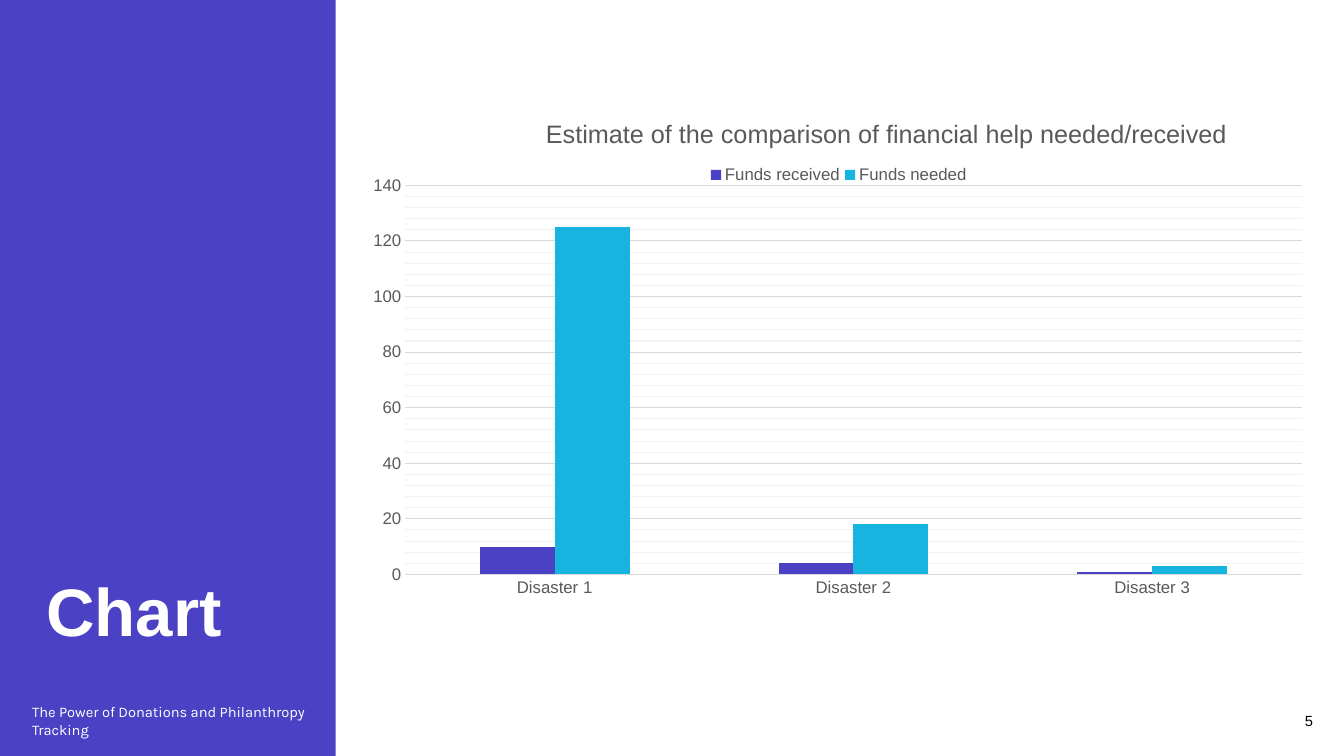
from copy import deepcopy

from lxml import etree
from pptx import Presentation
from pptx.chart.data import CategoryChartData
from pptx.dml.color import RGBColor
from pptx.enum.chart import XL_CHART_TYPE, XL_LEGEND_POSITION, XL_TICK_MARK
from pptx.enum.shapes import MSO_SHAPE
from pptx.enum.text import MSO_ANCHOR, PP_ALIGN
from pptx.oxml.ns import qn
from pptx.util import Pt

COLUMNS = XL_CHART_TYPE.COLUMN_CLUSTERED
LEGEND_TOP = XL_LEGEND_POSITION.TOP
NO_TICK = XL_TICK_MARK.NONE
RECTANGLE = MSO_SHAPE.RECTANGLE
MIDDLE, BOTTOM = MSO_ANCHOR.MIDDLE, MSO_ANCHOR.BOTTOM
LEFT, RIGHT = PP_ALIGN.LEFT, PP_ALIGN.RIGHT

PX = 9144  # 100 px to the inch
SLIDE_WIDTH, SLIDE_HEIGHT = 1333, 750
PANEL_WIDTH = 333
FOOTER_TOP, FOOTER_HEIGHT = 695, 40

INDIGO, CYAN, WHITE, BLACK = "4A41C5", "17B4DF", "FFFFFF", "000000"
LABEL_GRAY, GRID_GRAY, MINOR_GRAY = "595959", "D9D9D9", "F2F2F2"

CATEGORIES = ["Disaster 1", "Disaster 2", "Disaster 3"]
FUNDS = [
    ("Funds received", [10, 4, 1], INDIGO),
    ("Funds needed", [125, 18, 3], CYAN),
]


def color(hex_string):
    return RGBColor.from_string(hex_string)


def emu(box):
    return [length * PX for length in box]


def style_font(font, size, hex_string, name="Arial", bold=False):
    font.size = Pt(size)
    font.name = name
    font.bold = bold
    font.color.rgb = color(hex_string)


def style_line(line, hex_string):
    line.color.rgb = color(hex_string)
    line.width = Pt(0.75)


def add_text(slide, box, text, size, hex_string, name="Arial", bold=False,
             anchor=MIDDLE, align=LEFT):
    frame = slide.shapes.add_textbox(*emu(box)).text_frame
    frame.word_wrap = True
    frame.vertical_anchor = anchor
    paragraph = frame.paragraphs[0]
    paragraph.alignment = align
    run = paragraph.add_run()
    run.text = text
    style_font(run.font, size, hex_string, name, bold)


def place_chart_part(part, index, chart_size, place, inner=False):
    """Place a chart part by its left, top and, if given, width and height."""
    for old_layout in part.findall(qn("c:layout")):
        part.remove(old_layout)
    layout = etree.Element(qn("c:layout"))
    manual = etree.SubElement(layout, qn("c:manualLayout"))
    settings = [("layoutTarget", "inner")] if inner else []
    settings += [("xMode", "edge"), ("yMode", "edge")]
    for tag, length, whole in zip("xywh", place, chart_size * 2):
        settings.append((tag, length / whole))
    for tag, value in settings:
        etree.SubElement(manual, qn(f"c:{tag}")).set("val", str(value))
    part.insert(index, layout)


def style_gridlines(axis, chart_root):
    axis.has_major_gridlines = axis.has_minor_gridlines = True
    style_line(axis.major_gridlines.format.line, GRID_GRAY)
    # Minor lines take the major line style in a lighter gray
    major = next(chart_root.iter(qn("c:majorGridlines")))
    minor = next(chart_root.iter(qn("c:minorGridlines")))
    for properties in major:
        minor.append(deepcopy(properties))
    next(minor.iter(qn("a:srgbClr"))).set("val", MINOR_GRAY)


def add_side_panel(slide, box):
    left, top, width, height = box
    panel = slide.shapes.add_shape(RECTANGLE, *emu(box))
    panel.shadow.inherit = False
    panel.fill.solid()
    panel.fill.fore_color.rgb = color(INDIGO)
    panel.line.fill.background()
    add_text(slide, (left + 36, top + 96, width - 72, height - 196),
             "Chart", 48, WHITE, bold=True, anchor=BOTTOM)
    add_text(slide, (left + 22, top + FOOTER_TOP, width - 30, FOOTER_HEIGHT),
             "The Power of Donations and Philanthropy Tracking",
             10.5, WHITE, name="Karla")


def add_funds_chart(slide, box):
    data = CategoryChartData()
    data.categories = CATEGORIES
    for name, values, _ in FUNDS:
        data.add_series(name, values)
    chart = slide.shapes.add_chart(COLUMNS, *emu(box), data).chart
    chart_root = chart.element.find(qn("c:chart"))
    style_font(chart.font, 10, BLACK)

    # Title
    chart.has_title = True
    run = chart.chart_title.text_frame.paragraphs[0].add_run()
    run.text = "Estimate of the comparison of financial help needed/received"
    style_font(run.font, 18, LABEL_GRAY)

    # Legend
    chart.has_legend = True
    chart.legend.position = LEGEND_TOP
    chart.legend.include_in_layout = False
    style_font(chart.legend.font, 12, LABEL_GRAY)

    # Axes and gridlines
    category_axis, value_axis = chart.category_axis, chart.value_axis
    for axis in (category_axis, value_axis):
        axis.major_tick_mark = axis.minor_tick_mark = NO_TICK
        style_font(axis.tick_labels.font, 12, LABEL_GRAY)
    style_line(category_axis.format.line, GRID_GRAY)
    value_axis.format.line.fill.background()
    value_axis.minimum_scale, value_axis.maximum_scale = 0, 140
    value_axis.major_unit, value_axis.minor_unit = 20, 4
    style_gridlines(value_axis, chart_root)

    # Columns
    plot = chart.plots[0]
    plot.vary_by_categories = False
    plot.gap_width, plot.overlap = 199, 0
    for series, (_, _, fill) in zip(plot.series, FUNDS):
        series.format.fill.solid()
        series.format.fill.fore_color.rgb = color(fill)

    # Positions inside the chart
    size = box[2:]
    place_chart_part(chart_root.find(qn("c:title")), 1, size, (176, 16))
    place_chart_part(chart_root.find(qn("c:legend")), 1, size,
                     (339, 67, 264, 21))
    place_chart_part(chart_root.find(qn("c:plotArea")), 0, size,
                     (41, 88, 889, 386), inner=True)


def build_chart_slide(presentation):
    slide = presentation.slides.add_slide(presentation.slide_layouts[6])
    add_side_panel(slide, (0, 0, PANEL_WIDTH, SLIDE_HEIGHT))
    add_funds_chart(slide, (361, 96, 941, 519))
    add_text(slide, (1243, FOOTER_TOP, 69, FOOTER_HEIGHT), "5", 10.5, BLACK,
             align=RIGHT)


def main():
    presentation = Presentation()
    presentation.slide_width = SLIDE_WIDTH * PX
    presentation.slide_height = SLIDE_HEIGHT * PX
    build_chart_slide(presentation)
    presentation.save("out.pptx")


if __name__ == "__main__":
    main()
